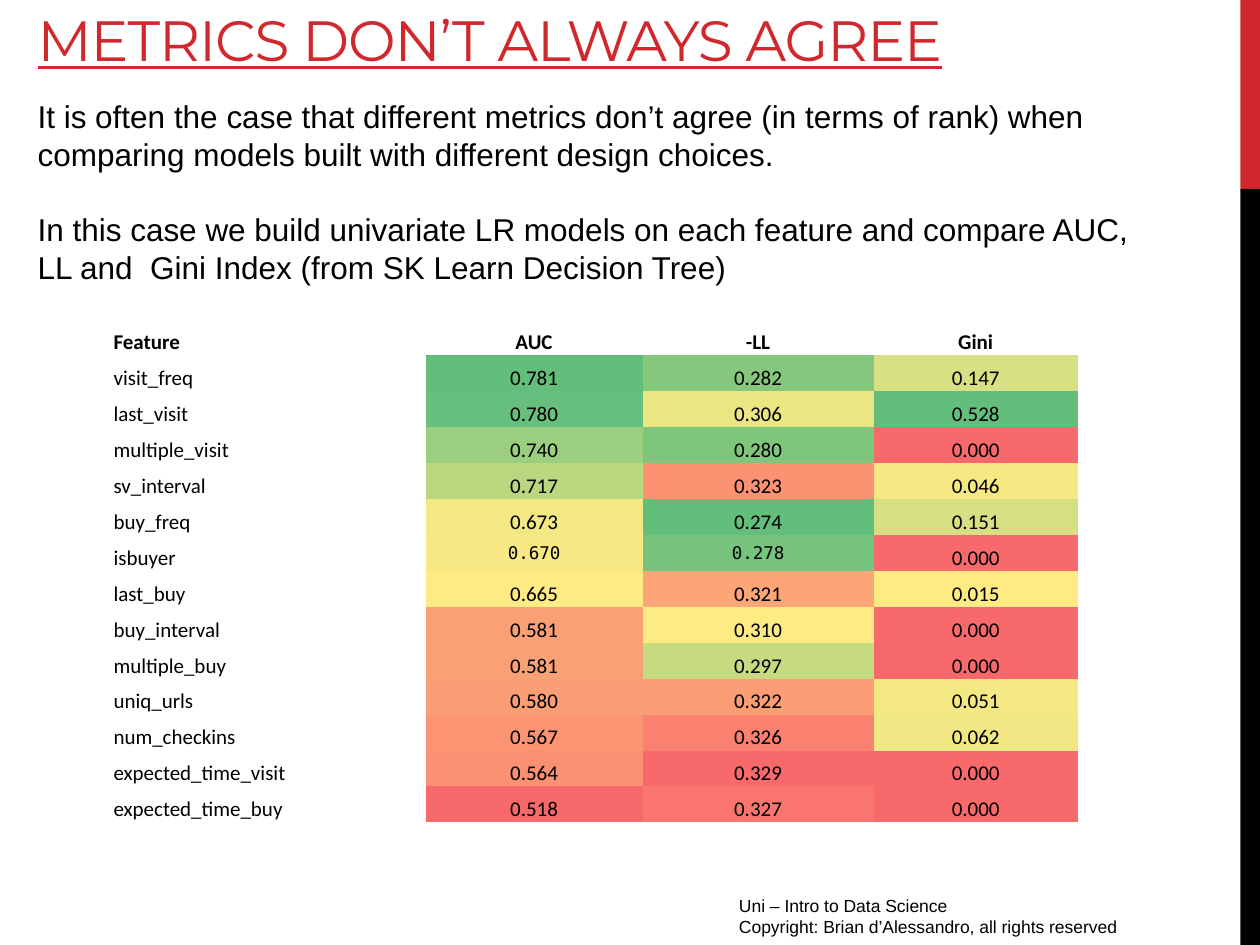
from lxml import etree
from pptx import Presentation
from pptx.dml.color import RGBColor
from pptx.enum.shapes import MSO_SHAPE
from pptx.enum.text import MSO_ANCHOR, PP_ALIGN
from pptx.oxml.ns import qn
from pptx.util import Pt

RECTANGLE = MSO_SHAPE.RECTANGLE
TOP, MIDDLE, BOTTOM = MSO_ANCHOR.TOP, MSO_ANCHOR.MIDDLE, MSO_ANCHOR.BOTTOM
LEFT, CENTER = PP_ALIGN.LEFT, PP_ALIGN.CENTER

RED, BLACK = "D1282E", "000000"
MONO = "DejaVu Sans Mono"

HEADERS = ["Feature", "AUC", "-LL", "Gini"]
COLUMN_WIDTHS = [179, 124, 132, 116.8]
ROW_HEIGHT = 20.55

# Feature, then value and heat colour for each metric
MODELS = [
    ("visit_freq", ("0.781", "63BE7B"), ("0.282", "85C77C"), ("0.147", "D7E082")),
    ("last_visit", ("0.780", "66BF7C"), ("0.306", "EBE582"), ("0.528", "63BE7B")),
    ("multiple_visit", ("0.740", "9BCF7F"), ("0.280", "7FC67C"), ("0.000", "F8696B")),
    ("sv_interval", ("0.717", "BAD780"), ("0.323", "FB9373"), ("0.046", "F6E984")),
    ("buy_freq", ("0.673", "F4E884"), ("0.274", "63BE7B"), ("0.151", "D6E082")),
    ("isbuyer", ("0.670", "F8E984"), ("0.278", "75C37C"), ("0.000", "F8696B")),
    ("last_buy", ("0.665", "FFEB84"), ("0.321", "FCA577"), ("0.015", "FFEB84")),
    ("buy_interval", ("0.581", "FAA075"), ("0.310", "FFEB84"), ("0.000", "F8696B")),
    ("multiple_buy", ("0.581", "FAA075"), ("0.297", "C6DA80"), ("0.000", "F8696B")),
    ("uniq_urls", ("0.580", "FA9F75"), ("0.322", "FB9D75"), ("0.051", "F4E884")),
    ("num_checkins", ("0.567", "FA9473"), ("0.326", "FA8070"), ("0.062", "F1E784")),
    ("expected_time_visit", ("0.564", "FA9172"), ("0.329", "F8696B"), ("0.000", "F8696B")),
    ("expected_time_buy", ("0.518", "F8696B"), ("0.327", "F9756E"), ("0.000", "F8696B")),
]
MONO_CELLS = {("isbuyer", "AUC"), ("isbuyer", "-LL")}


def rgb(value):
    return RGBColor.from_string(value)


def clear_borders(cell):
    """Give the cell four unpainted borders, placed ahead of its fill."""
    properties = cell._tc.get_or_add_tcPr()
    for index, side in enumerate(("a:lnL", "a:lnR", "a:lnT", "a:lnB")):
        border = etree.Element(qn(side), w="0")
        etree.SubElement(border, qn("a:noFill"))
        properties.insert(index, border)


class SlideBuilder:
    def __init__(self, page, font="Arial", color=BLACK):
        self.page = page
        self.font = font
        self.color = color

    def bar(self, left, top, width, height, color):
        shape = self.page.shapes.add_shape(
            RECTANGLE, Pt(left), Pt(top), Pt(width), Pt(height))
        shape.shadow.inherit = False
        shape.fill.solid()
        shape.fill.fore_color.rgb = rgb(color)
        shape.line.fill.background()

    def span(self, para, text, size, font=None, color=None, bold=False):
        span = para.add_run()
        span.text = text
        span.font.size = Pt(size)
        span.font.name = font or self.font
        span.font.color.rgb = rgb(color or self.color)
        span.font.bold = bold
        return span

    def text(self, left, top, width, height, lines, size, gap=0, anchor=TOP,
             font=None, color=None):
        """Add a text box with one paragraph per line and return its runs."""
        box = self.page.shapes.add_textbox(
            Pt(left), Pt(top), Pt(width), Pt(height))
        frame = box.text_frame
        frame.word_wrap = True
        frame.vertical_anchor = anchor
        spans = []
        for index, line in enumerate(lines):
            para = frame.add_paragraph() if index else frame.paragraphs[0]
            para.space_before = Pt(gap if index else 0)
            spans.append(self.span(para, line, size, font, color))
        return spans

    def title(self, left, top, width, height, text):
        span, = self.text(left, top, width, height, [text], 32.4,
                          anchor=BOTTOM, font="Montserrat", color=RED)
        span.font.underline = True
        span.font._element.set("spc", "-60")

    def cell(self, cell, text, align, fill=None, bold=False, mono=False):
        cell.margin_left = cell.margin_right = cell.margin_top = Pt(0.7)
        cell.margin_bottom = Pt(0)
        cell.vertical_anchor = MIDDLE if mono else BOTTOM
        if fill:
            cell.fill.solid()
            cell.fill.fore_color.rgb = rgb(fill)
        else:
            cell.fill.background()
        clear_borders(cell)
        para = cell.text_frame.paragraphs[0]
        para.alignment = align
        self.span(para, text, 10 if mono else 12, MONO if mono else "Calibri",
                  bold=bold)

    def metric_table(self, left, top):
        row_count = len(MODELS) + 1
        table = self.page.shapes.add_table(
            row_count, len(HEADERS), Pt(left), Pt(top),
            Pt(sum(COLUMN_WIDTHS)), Pt(ROW_HEIGHT * row_count)).table
        table.first_row = table.horz_banding = False
        for column, width in zip(table.columns, COLUMN_WIDTHS):
            column.width = Pt(width)
        for row in table.rows:
            row.height = Pt(ROW_HEIGHT)
        for index, header in enumerate(HEADERS):
            self.cell(table.cell(0, index), header, CENTER if index else LEFT,
                      bold=True)
        for row, (feature, *scores) in enumerate(MODELS, 1):
            self.cell(table.cell(row, 0), feature, LEFT)
            for column, (value, fill) in enumerate(scores, 1):
                self.cell(table.cell(row, column), value, CENTER, fill,
                          mono=(feature, HEADERS[column]) in MONO_CELLS)


def main():
    deck = Presentation()
    deck.slide_width, deck.slide_height = Pt(720), Pt(540)
    builder = SlideBuilder(deck.slides.add_slide(deck.slide_layouts[6]))

    builder.bar(708.75, 0, 11.25, 108, RED)
    builder.bar(708.75, 108, 11.25, 432, BLACK)
    builder.text(415.2, 508, 270, 22.3, [
        "Uni – Intro to Data Science",
        "Copyright: Brian d’Alessandro, all rights reserved",
    ], 10)
    builder.title(14.4, 0, 627, 45.4, "METRICS DON’T ALWAYS AGREE")
    builder.text(14.4, 52, 648, 116.6, [
        "It is often the case that different metrics don’t agree (in terms of "
        "rank) when comparing models built with different design choices.",
        "In this case we build univariate LR models on each feature and "
        "compare AUC, LL and  Gini Index (from SK Learn Decision Tree)",
    ], 18, gap=21.5)
    builder.metric_table(64.2, 182.6)
    deck.save("out.pptx")


if __name__ == "__main__":
    main()
